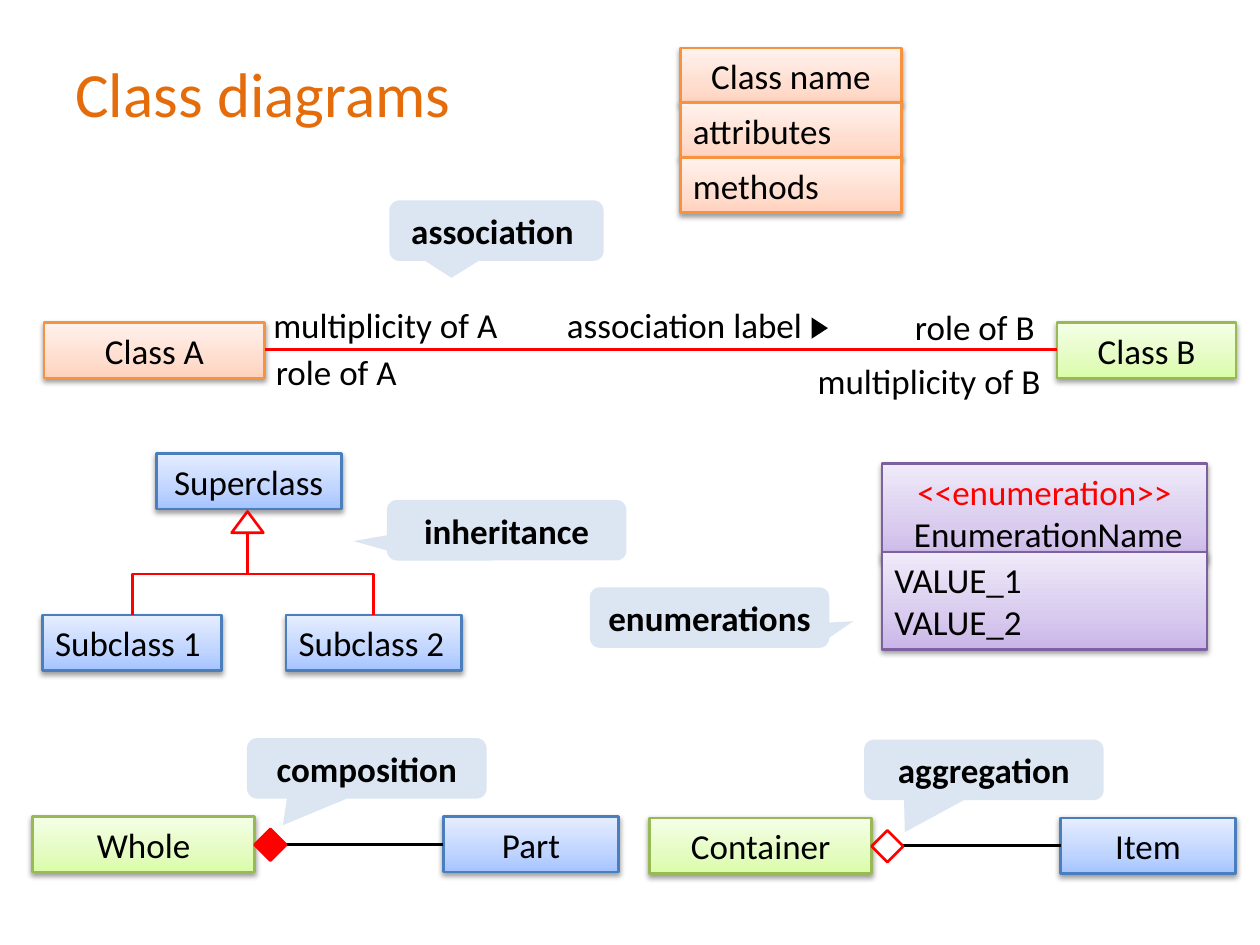
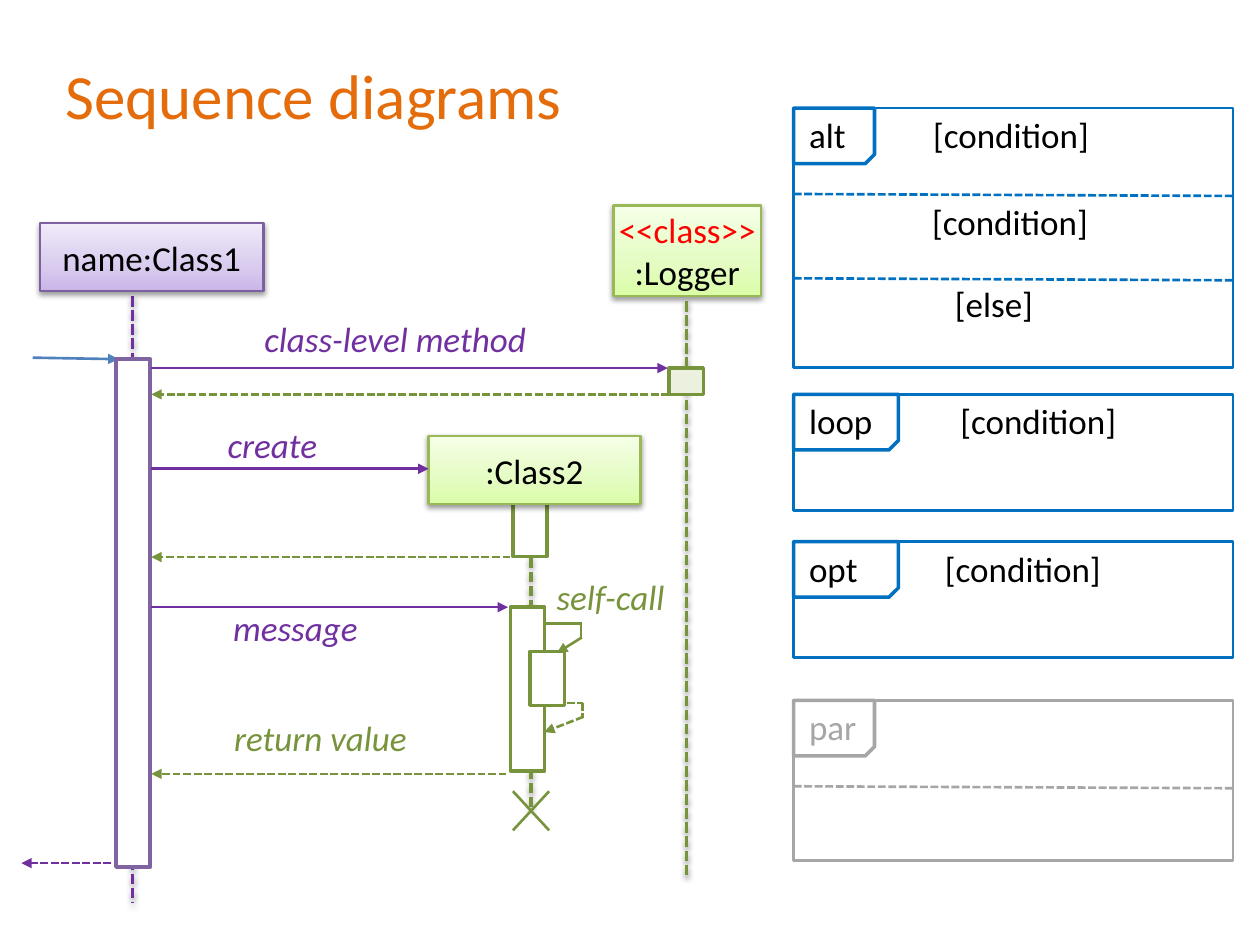
"""Two slides that sum up the notation of class and sequence diagrams."""
from copy import deepcopy

from lxml.etree import SubElement
from pptx import Presentation
from pptx.dml.color import RGBColor
from pptx.enum.dml import MSO_LINE
from pptx.enum.shapes import MSO_CONNECTOR, MSO_SHAPE
from pptx.enum.text import MSO_ANCHOR, PP_ALIGN
from pptx.oxml.ns import qn
from pptx.util import Cm, Pt

HUES = {
    "title": "E46C0A", "black": "000000", "white": "FFFFFF", "red": "FF0000",
    "note": "DCE6F2", "violet": "7030A0", "plum": "8064A2", "green": "77933C",
    "pale": "EBF1DE", "steel": "4F81BD", "blue": "0070C0", "grey": "A6A6A6",
}
TONES = {
    "orange": ("FFD2BD", "FFDED0", "FFF2ED", "F69240"),
    "lime": ("DAFDA7", "E4FCC2", "F5FFE7", "98B955"),
    "sky": ("A4C4FF", "BFD4FF", "E6EEFF", "4B7EBC"),
    "lilac": ("C9B5E8", "D8CBEE", "F0EAF9", "7D60A0"),
}
FONT = "Calibri"
LEFT, MID, RIGHT = PP_ALIGN.LEFT, PP_ALIGN.CENTER, PP_ALIGN.RIGHT
ROW = 1.12


def rgb(hue):
    """Return the colour stored under a name."""
    return RGBColor.from_string(HUES[hue])


def style(run, hue="black", size=20, bold=False, slant=False):
    """Set the font of a run."""
    font = run.font
    font.name, font.size, font.bold, font.italic = FONT, Pt(size), bold, slant
    font.color.rgb = rgb(hue)


def write(shape, lines, align=LEFT, hue="black", pad=(0.25, 0.13), **look):
    """Write one paragraph per line into a shape; a tuple pairs a red stereotype with a name."""
    frame = shape.text_frame
    frame.word_wrap = True
    frame.vertical_anchor = MSO_ANCHOR.MIDDLE
    frame.margin_left = frame.margin_right = Cm(pad[0])
    frame.margin_top = frame.margin_bottom = Cm(pad[1])
    for num, line in enumerate(lines):
        para = frame.add_paragraph() if num else frame.paragraphs[0]
        para.alignment = align
        if isinstance(line, tuple):
            kind, line = line
            run = para.add_run()
            run.text = kind
            style(run, "red", **look)
            para.add_line_break()
        run = para.add_run()
        run.text = line
        style(run, hue, **look)


def shade(shape):
    """Give a shape or connector a soft shadow below it."""
    props = shape._element.spPr
    effect = props.find(qn("a:effectLst"))
    outer = SubElement(effect, qn("a:outerShdw"), blurRad="40000", dist="20000",
                       dir="5400000", rotWithShape="0")
    tint = SubElement(outer, qn("a:srgbClr"), val=HUES["black"])
    SubElement(tint, qn("a:alpha"), val="38000")


def draw(slide, kind, x, y, w, h, fill=None, edge=None, width=1.5):
    """Add a flat preset shape."""
    shape = slide.shapes.add_shape(kind, Cm(x), Cm(y), Cm(w), Cm(h))
    shape.shadow.inherit = False
    if fill:
        shape.fill.solid()
        shape.fill.fore_color.rgb = rgb(fill)
    else:
        shape.fill.background()
    if edge:
        shape.line.color.rgb = rgb(edge)
        shape.line.width = Pt(width)
    else:
        shape.line.fill.background()
    return shape


def card(slide, x, y, w, h, tone, lines, align=MID, pad=(0.25, 0.13)):
    """Add a shaded gradient box with text."""
    shape = draw(slide, MSO_SHAPE.RECTANGLE, x, y, w, h)
    *tints, edge = TONES[tone]
    shape.fill.gradient()
    shape.fill.gradient_angle = 90
    first = shape._element.spPr.find(".//" + qn("a:gs"))
    first.addnext(deepcopy(first))
    for stop, place, tint in zip(shape.fill.gradient_stops, (0, 0.35, 1), tints):
        stop.position = place
        stop.color.rgb = RGBColor.from_string(tint)
    shape.line.color.rgb = RGBColor.from_string(edge)
    shape.line.width = Pt(1.5)
    shade(shape)
    write(shape, lines, align, pad=pad)


def note(slide, x, y, w, text, tip):
    """Add a callout whose tip is given as shares of its size."""
    shape = draw(slide, MSO_SHAPE.ROUNDED_RECTANGULAR_CALLOUT, x, y, w, 1.22, "note")
    shape.adjustments[0], shape.adjustments[1] = tip
    write(shape, [text], MID, bold=True)


def label(slide, x, y, w, text, align=LEFT, h=ROW, **look):
    """Add a line of free text."""
    shape = slide.shapes.add_textbox(Cm(x), Cm(y), Cm(w), Cm(h))
    write(shape, [text], align, **look)
    return shape


def link(slide, x1, y1, x2, y2, hue, width=1.5, dash=False, arrow=False,
         kind=MSO_CONNECTOR.STRAIGHT):
    """Add a connector, dashed or arrowed on demand."""
    line = slide.shapes.add_connector(kind, Cm(x1), Cm(y1), Cm(x2), Cm(y2))
    line.line.color.rgb = rgb(hue)
    line.line.width = Pt(width)
    if dash:
        line.line.dash_style = MSO_LINE.SQUARE_DOT
    if arrow:
        SubElement(line.line._ln, qn("a:tailEnd"), type="triangle")
    SubElement(line._element.spPr, qn("a:effectLst"))
    return line


def rise(slide, x1, y1, x2, y2, hue):
    """Add an elbow that leaves its start upwards."""
    x, y = (x1 + x2) / 2, (y1 + y2) / 2
    w, h = y1 - y2, x2 - x1
    line = link(slide, x - w / 2, y - h / 2, x + w / 2, y + h / 2, hue,
                kind=MSO_CONNECTOR.ELBOW)
    line._element.spPr.find(qn("a:xfrm")).set("rot", "16200000")


def life(slide, x, top, end, hue):
    """Add a lifeline."""
    shade(link(slide, x, top, x, end, hue, 2, dash=True))


def bar(slide, x, y, h, edge="green", fill="white"):
    """Add an activation bar."""
    draw(slide, MSO_SHAPE.RECTANGLE, x, y, 0.69, h, fill, edge, 2)


def start(deck, text, x, y, w, h):
    """Add a slide with its title in place."""
    slide = deck.slides.add_slide(deck.slide_layouts[5])
    title = slide.shapes.title
    title.left, title.top, title.width, title.height = Cm(x), Cm(y), Cm(w), Cm(h)
    write(title, [text], hue="title", size=36)
    return slide


def parts(slide, x, y, w):
    """Draw the three compartments of a class."""
    for num, text in enumerate(("Class name", "attributes", "methods")):
        card(slide, x, y + num * 1.1, w, ROW, "orange", [text], LEFT if num else MID)


def bond(slide, x, y, w):
    """Draw an association between two classes."""
    card(slide, x, y + 2.46, 4.45, ROW, "orange", ["Class A"])
    card(slide, x + w - 3.61, y + 2.46, 3.61, ROW, "lime", ["Class B"])
    link(slide, x + 4.45, y + 3, x + w - 3.61, y + 3, "red")
    for dx, dy, wide, text, align in (
            (4.37, 1.95, 5.21, "multiplicity of A", LEFT),
            (10.29, 1.95, 6.1, "association label", LEFT),
            (4.42, 2.89, 4.8, "role of A", LEFT),
            (16.46, 1.98, 3.76, "role of B", RIGHT),
            (15.26, 3.07, 5.08, "multiplicity of B", RIGHT)):
        label(slide, x + dx, y + dy, wide, text, align)
    mark = draw(slide, MSO_SHAPE.ISOSCELES_TRIANGLE, x + 15.42, y + 2.41, 0.43, 0.33, "black")
    mark.rotation = 90
    note(slide, x + 6.96, y, 4.32, "association ", (-0.21, 0.78))


def tree(slide, x, y):
    """Draw a superclass with two subclasses."""
    card(slide, x + 2.29, y, 3.73, ROW, "sky", ["Superclass"])
    for num, (dx, w) in enumerate(((0, 3.61), (4.91, 3.53)), 1):
        card(slide, x + dx, y + 3.26, w, ROW, "sky", [f"Subclass {num}"], LEFT)
        rise(slide, x + dx + w / 2, y + 3.26, x + 4.13, y + 1.6, "red")
    draw(slide, MSO_SHAPE.ISOSCELES_TRIANGLE, x + 3.81, y + 1.17, 0.64, 0.43, "white", "red")
    note(slide, x + 6.94, y + 0.94, 4.83, "inheritance", (-0.64, 0.18))


def values(slide, x, y):
    """Draw an enumeration."""
    name = ("<<enumeration>>", " EnumerationName")
    card(slide, x + 5.89, y, 6.55, 1.96, "lilac", [name])
    card(slide, x + 5.89, y + 1.78, 6.55, 1.96, "lilac", ["VALUE_1", "VALUE_2"], LEFT)
    note(slide, x, y + 2.49, 4.83, "enumerations", (0.6, 0.06))


def whole(slide, x, y, names, text, tip, fill=None):
    """Draw a whole and its part, joined by a diamond."""
    card(slide, x, y + 1.58, 4.47, ROW, "lime", names[:1])
    card(slide, x + 8.28, y + 1.58, 3.53, ROW, "sky", names[1:])
    link(slide, x + 8.28, y + 2.14, x + 5.11, y + 2.14, "black")
    draw(slide, MSO_SHAPE.FLOWCHART_DECISION, x + 4.47, y + 1.83, 0.64, 0.64, fill, "red")
    note(slide, x + 4.32, y, 4.83, text, tip)


def caller(slide, x, y):
    """Draw the object that sends the messages."""
    life(slide, x + 1.86, y + 1.47, y + 13.71, "violet")
    card(slide, x, y, 4.5, 1.37, "lilac", ["name:Class1"])
    link(slide, x - 0.15, y + 2.71, x + 1.58, y + 2.74, "steel", arrow=True)
    link(slide, x + 1.43, y + 12.9, x - 0.38, y + 12.9, "violet", dash=True, arrow=True)
    bar(slide, x + 1.53, y + 2.74, 10.24, "plum")


def logger(slide, x, y):
    """Draw the class that logs."""
    card(slide, x, y, 2.97, 1.83, "lime", [("<<class>>", ":Logger")], pad=(0, 0))
    life(slide, x + 1.47, y + 1.93, y + 13.51, "green")
    bar(slide, x + 1.12, y + 3.28, 0.53, fill="pale")


def hook(slide, x, y, back, drop, dash):
    """Draw a three-line arrow that turns back on its own bar."""
    link(slide, x, y, x + 0.76, y, "green", dash=dash)
    link(slide, x + 0.74, y, x + 0.74, y + 0.3, "green", dash=dash)
    link(slide, x + 0.76, y + 0.28, x + back, y + drop, "green", dash=dash, arrow=True)


def callee(slide, x, y):
    """Draw the object that is made, calls itself and ends."""
    life(slide, x + 2.06, y + 1.88, y + 7.52, "green")
    bar(slide, x + 1.7, y + 1.34, 1.09)
    bar(slide, x + 1.65, y + 3.45, 3.3)
    hook(slide, x + 2.36, y + 5.38, -0.03, 0.59, True)
    bar(slide, x + 2.05, y + 4.34, 1.09)
    hook(slide, x + 2.33, y + 3.78, 0.26, 0.59, False)
    card(slide, x, y, 4.27, 1.37, "lime", [":Class2"])
    for top, end in ((7.16, 7.95), (7.95, 7.16)):
        link(slide, x + 1.7, y + top, x + 2.43, y + end, "green")
    label(slide, x + 2.33, y + 2.67, 3.33, "self-call", hue="green", slant=True)


def calls(slide, x, y):
    """Draw the messages and their replies."""
    for dy, reach in ((0, 10.41), (2.03, 5.59), (4.82, 7.19)):
        link(slide, x, y + dy, x + reach, y + dy, "violet", arrow=True)
    for dy, reach in ((0.53, 10.44), (3.81, 7.24), (8.18, 7.16)):
        link(slide, x + reach, y + dy, x, y + dy, "green", dash=True, arrow=True)
    for dx, dy, w, text, hue in (
            (2.03, -1.15, 5.94, "class-level method", "violet"),
            (1.29, 0.99, 2.97, "create", "violet"),
            (1.4, 4.67, 3.53, "message", "violet"),
            (1.42, 6.88, 5.38, "return value", "green")):
        label(slide, x + dx, y + dy, w, text, hue=hue, slant=True)


def fragment(slide, x, y, w, h, tag, wide, tab=0, rules=(), more=(), edge="blue", hue="black"):
    """Draw a combined fragment with its tag, conditions and dividers."""
    draw(slide, MSO_SHAPE.RECTANGLE, x, y, w, h, "white", edge)
    corner = draw(slide, MSO_SHAPE.SNIP_1_RECTANGLE, x, y, wide, ROW, "white", edge, 2)
    corner._element.spPr.find(qn("a:xfrm")).set("flipV", "1")
    text = f"{tag}\t[condition]" if tab else tag
    head = label(slide, x + 0.06, y, w, text, h=1.07, hue=hue)
    if tab:
        props = head.text_frame.paragraphs[0]._p.get_or_add_pPr()
        stops = SubElement(props, qn("a:tabLst"))
        SubElement(stops, qn("a:tab"), pos=str(Cm(tab)), algn="l")
    for dy in rules:
        link(slide, x, y + dy, x + w, y + dy + 0.04, edge, dash=True)
    for dx, dy, text in more:
        label(slide, x + dx, y + dy, 4.85, text, h=1.07)


deck = Presentation()
deck.slide_width, deck.slide_height = Cm(25.4), Cm(19.05)

page = start(deck, "Class diagrams", 1.27, 0.76, 22.86, 2.21)
parts(page, 13.72, 0.97, 4.45)
bond(page, 0.89, 4.04, 24.03)
tree(page, 0.86, 9.14)
values(page, 11.89, 9.35)
whole(page, 0.66, 14.88, ["Whole", "Part"], "composition", (-0.35, 0.94), "red")
whole(page, 13.1, 14.91, ["Container", "Item"], "aggregation", (-0.33, 1.03))

page = start(deck, "Sequence diagrams", 1.07, 0.79, 12.22, 2.21)
caller(page, 0.81, 4.5)
logger(page, 12.37, 4.14)
callee(page, 8.64, 8.79)
calls(page, 3.05, 7.42)
fragment(page, 16, 2.18, 8.86, 5.23, "alt", 1.63, 2.5, (1.73, 3.43),
         ((2.54, 1.76, "[condition]"), (3, 3.4, "[else]")))
fragment(page, 16, 7.95, 8.86, 2.34, "loop", 2.11, 3.05)
fragment(page, 16, 10.92, 8.86, 2.34, "opt", 2.11, 2.74)
fragment(page, 16, 14.12, 8.86, 3.23, "par", 1.63, rules=(1.73,), edge="grey", hue="grey")

deck.save("out.pptx")
